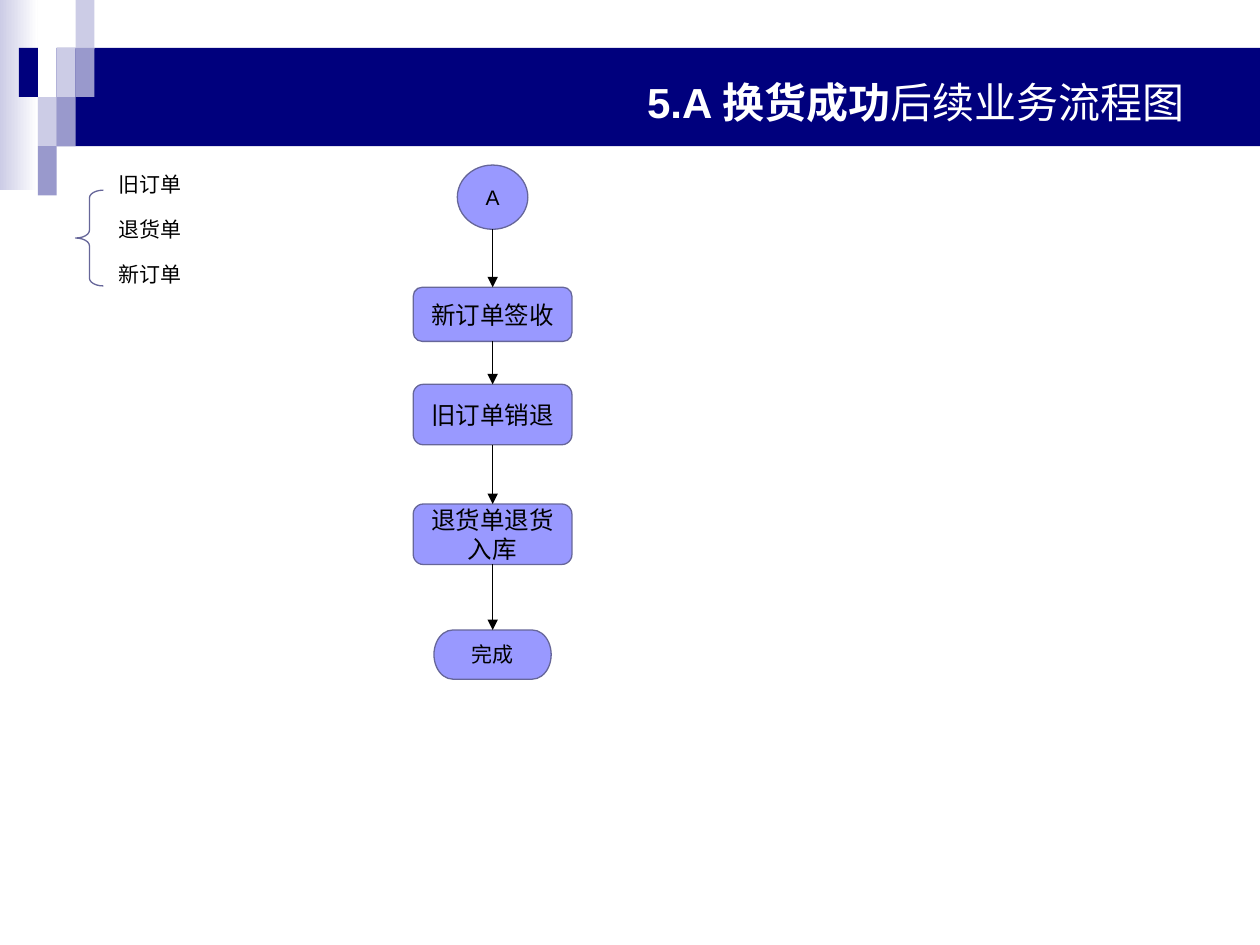
from itertools import pairwise

from lxml.etree import SubElement
from pptx import Presentation
from pptx.dml.color import RGBColor
from pptx.enum.shapes import MSO_CONNECTOR, MSO_SHAPE as SHAPE
from pptx.enum.text import MSO_ANCHOR as ANCHOR, PP_ALIGN as ALIGN
from pptx.oxml.ns import qn
from pptx.util import Inches, Pt

NAVY = RGBColor(0x00, 0x00, 0x7D)
PALE = RGBColor(0xCC, 0xCC, 0xE6)
MID = RGBColor(0x99, 0x99, 0xCC)
NODE_FILL = RGBColor(0x99, 0x99, 0xFF)
NODE_LINE = RGBColor(0x66, 0x66, 0x99)
WHITE = RGBColor(0xFF, 0xFF, 0xFF)
BLACK = RGBColor(0x00, 0x00, 0x00)

FONT = "Arial"
COL, ROW, ROW_TOP = 0.15, 0.39, 0.38  # mosaic grid, inches
FLOW_X = 3.91  # centre line of the flow

# column, row, colour
MOSAIC = [
    (3, 1, PALE), (4, 0, PALE), (4, 1, MID), (2, 2, PALE),
    (1, 1, NAVY), (3, 2, MID), (2, 3, MID),
]
# preset, text, top, width, height, text size
STEPS = [
    (SHAPE.FLOWCHART_CONNECTOR, "A", 1.31, 0.56, 0.51, 12),
    (SHAPE.FLOWCHART_ALTERNATE_PROCESS, "新订单签收", 2.28, 1.26, 0.43, 14),
    (SHAPE.FLOWCHART_ALTERNATE_PROCESS, "旧订单销退", 3.05, 1.26, 0.48, 14),
    (SHAPE.FLOWCHART_ALTERNATE_PROCESS, "退货单退货入库", 4, 1.26, 0.48, 14),
    (SHAPE.FLOWCHART_TERMINATOR, "完成", 5, 0.93, 0.39, 12),
]
ORDERS = ["旧订单", "退货单", "新订单"]


def set_all(target, values):
    for name, value in values.items():
        setattr(target, name, value)


def write(shape, runs, size, color, align, wrap=True, anchor=ANCHOR.MIDDLE):
    """Fill the shape with one paragraph of (text, bold) runs."""
    tf = shape.text_frame
    set_all(tf, {"word_wrap": wrap, "vertical_anchor": anchor})
    p = tf.paragraphs[0]
    p.alignment = align
    for text, bold in runs:
        r = p.add_run()
        r.text = text
        set_all(r.font, {"name": FONT, "size": Pt(size), "bold": bold})
        r.font.color.rgb = color


def add_shape(s, preset, box, fill=None, line=None):
    sp = s.shapes.add_shape(preset, *map(Inches, box))
    sp.shadow.inherit = False
    if fill is None:
        sp.fill.background()
    else:
        sp.fill.solid()
        sp.fill.fore_color.rgb = fill
    if line is None:
        sp.line.fill.background()
    else:
        sp.line.color.rgb = line
        sp.line.width = Pt(0.75)
    return sp


def add_text(s, box, *args, **kwargs):
    write(s.shapes.add_textbox(*map(Inches, box)), *args, **kwargs)


def add_banner(s):
    fade = add_shape(s, SHAPE.RECTANGLE, (0, 0, 2 * COL, 1.51))
    fade.fill.gradient()
    fade.fill.gradient_angle = 0
    for stop, color in zip(fade.fill.gradient_stops, (PALE, WHITE)):
        stop.color.rgb = color
    left = 3 * COL
    add_shape(s, SHAPE.RECTANGLE, (left, ROW_TOP, 10 - left, 2 * ROW), NAVY)
    for col, row, color in MOSAIC:
        top = max(0, ROW_TOP + (row - 1) * ROW)
        add_shape(s, SHAPE.RECTANGLE, (col * COL, top, COL, ROW), color)
    add_text(s, (0.5, 0.3, 9, 1.01),
             [("5.A 换货成功", True), ("后续业务流程图", False)],
             24, WHITE, ALIGN.RIGHT)


def add_step(s, preset, text, top, width, height, size):
    box = (FLOW_X - width / 2, top, width, height)
    sp = add_shape(s, preset, box, NODE_FILL, NODE_LINE)
    write(sp, [(text, False)], size, BLACK, ALIGN.CENTER, wrap=len(text) > 5)
    return sp


def add_arrow(s, upper, lower):
    x = Inches(FLOW_X)
    line = s.shapes.add_connector(
        MSO_CONNECTOR.STRAIGHT, x, upper.top + upper.height, x, lower.top)
    # The circle has eight connection sites, so its bottom is not site 2.
    if upper.auto_shape_type != SHAPE.FLOWCHART_CONNECTOR:
        line.begin_connect(upper, 2)
    line.end_connect(lower, 0)
    line.line.color.rgb = BLACK
    line.line.width = Pt(0.75)
    SubElement(line.line._get_or_add_ln(), qn("a:tailEnd"), type="triangle")
    SubElement(line._element.spPr, qn("a:effectLst"))


def add_order_list(s):
    brace = add_shape(s, SHAPE.LEFT_BRACE, (0.6, 1.51, 0.22, 0.76),
                      line=NODE_LINE)
    brace.adjustments[0] = 0.28
    for i, order in enumerate(ORDERS):
        add_text(s, (0.84, 1.31 + i * 0.36, 0.7, 0.3), [(order, False)],
                 12, BLACK, ALIGN.LEFT, wrap=False, anchor=ANCHOR.TOP)


def main():
    prs = Presentation()
    set_all(prs, {"slide_width": Inches(10), "slide_height": Inches(7.5)})
    s = prs.slides.add_slide(prs.slide_layouts[6])
    add_banner(s)
    add_order_list(s)
    steps = [add_step(s, *step) for step in STEPS]
    for upper, lower in pairwise(steps):
        add_arrow(s, upper, lower)
    prs.save("out.pptx")


if __name__ == "__main__":
    main()
